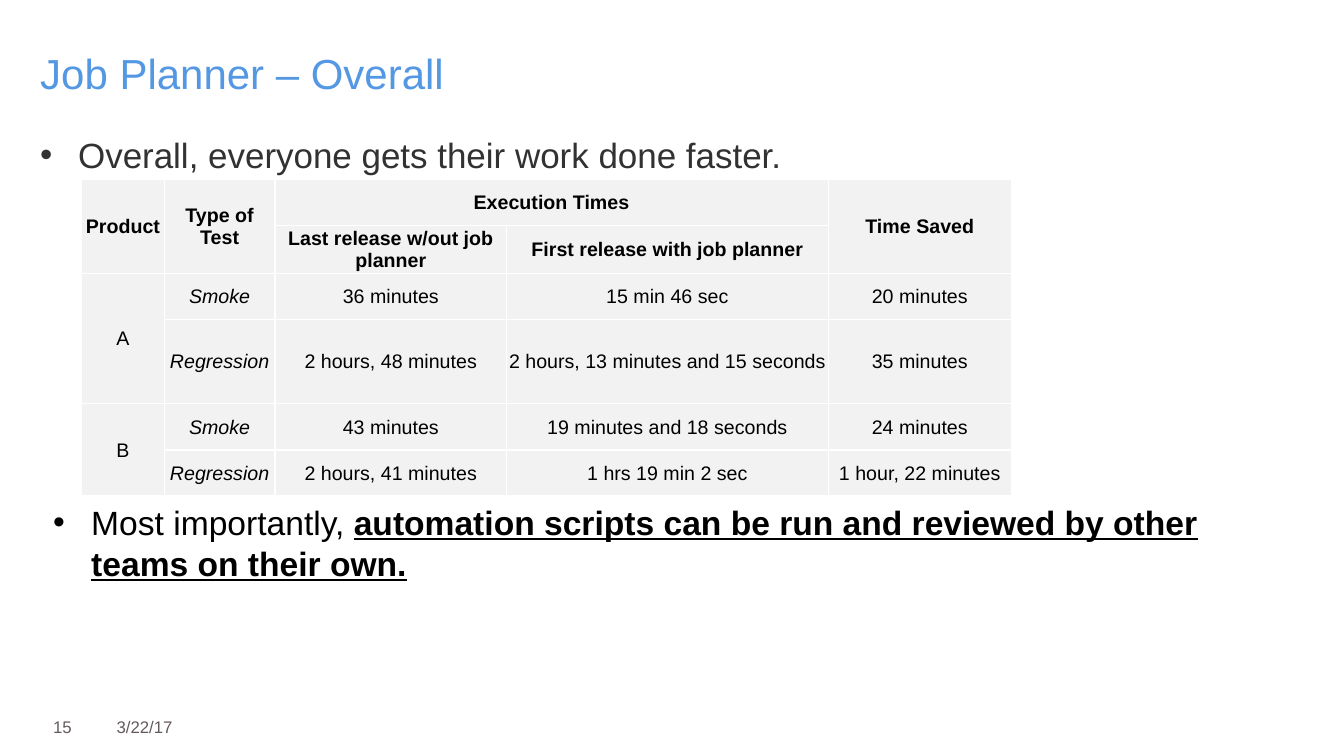
from dataclasses import dataclass
from lxml.etree import SubElement
from pptx import Presentation
from pptx.dml.color import RGBColor
from pptx.enum.text import MSO_ANCHOR, MSO_AUTO_SIZE, PP_ALIGN
from pptx.oxml.ns import qn
from pptx.util import Cm, Pt


@dataclass(frozen=True)
class Theme:
    face: str = "Arial"
    blue: str = "5498E4"
    dark: str = "323232"
    gray: str = "655A5B"
    black: str = "000000"
    pale: str = "F3F2F2"
    white: str = "FFFFFF"
    title: int = 30
    lead: int = 25
    close: int = 24
    cell: int = 14
    foot: int = 12


theme = Theme()


def style(para, size, color):
    para.font.name = theme.face
    para.font.size = Pt(size)
    para.font.color.rgb = RGBColor.from_string(color)


def add_text(box, size, color, text, bullet=False):
    """Add a wrapped text box and return its only paragraph."""
    frame = slide.shapes.add_textbox(*map(Cm, box)).text_frame
    frame.word_wrap = True
    para = frame.paragraphs[0]
    para.add_run().text = text
    style(para, size, color)
    if bullet:
        props = para._p.get_or_add_pPr()
        props.set("marL", str(Cm(0.96)))
        props.set("indent", str(Cm(-0.96)))
        SubElement(props, qn("a:buFont"), typeface=theme.face)
        SubElement(props, qn("a:buChar"), char="•")
    return para


deck = Presentation()
deck.slide_width, deck.slide_height = Cm(33.87), Cm(19.05)
slide = deck.slides.add_slide(deck.slide_layouts[5])

# Title
title = slide.shapes.title
title.left, title.top, title.width, title.height = map(Cm, (0.76, 1.07, 13.97, 1.45))
frame = title.text_frame
frame.text = "Job Planner – Overall"
frame.auto_size = MSO_AUTO_SIZE.NONE
frame.vertical_anchor = MSO_ANCHOR.TOP
frame.paragraphs[0].alignment = PP_ALIGN.LEFT
style(frame.paragraphs[0], theme.title, theme.blue)

# Opening point
lead = add_text((0.76, 3.35, 31.7, 1.17), theme.lead, theme.dark,
                "Overall, everyone gets their work done faster.", True)
lead.line_spacing = Pt(27)
lead.space_after = Pt(12)

# Table of times
rows = [
    ["Product", "Type of Test", "Execution Times", "", "Time Saved"],
    ["", "", "Last release w/out job planner", "First release with job planner", ""],
    ["A", "Smoke", "36 minutes", "15 min 46 sec", "20 minutes"],
    ["", "Regression", "2 hours, 48 minutes", "2 hours, 13 minutes and 15 seconds", "35 minutes"],
    ["B", "Smoke", "43 minutes", "19 minutes and 18 seconds", "24 minutes"],
    ["", "Regression", "2 hours, 41 minutes", "1 hrs 19 min 2 sec", "1 hour, 22 minutes"],
]
widths = [2.08, 2.79, 5.84, 8.1, 4.62]
heights = [1.16, 1.16, 1.16, 2.13, 1.16, 1.16]
table = slide.shapes.add_table(len(rows), len(widths), Cm(2.06), Cm(4.52),
                               Cm(sum(widths)), Cm(sum(heights))).table
table.horz_banding = False
for col, width in zip(table.columns, widths):
    col.width = Cm(width)
for row, height in zip(table.rows, heights):
    row.height = Cm(height)

for r, row in enumerate(rows):
    for c, text in enumerate(row):
        cell = table.cell(r, c)
        cell.text = text
        cell.vertical_anchor = MSO_ANCHOR.MIDDLE
        cell.margin_left = cell.margin_right = cell.margin_top = Cm(0.02)
        cell.margin_bottom = 0
        para = cell.text_frame.paragraphs[0]
        para.alignment = PP_ALIGN.CENTER
        style(para, theme.cell, theme.black)
        para.font.bold = r < 2
        para.font.italic = r >= 2 and c == 1
        props = cell._tc.get_or_add_tcPr()
        for side in ("lnL", "lnR", "lnT", "lnB"):
            line = SubElement(props, qn(f"a:{side}"), w=str(Pt(1)))
            fill = SubElement(line, qn("a:solidFill"))
            SubElement(fill, qn("a:srgbClr"), val=theme.white)
        cell.fill.solid()
        cell.fill.fore_color.rgb = RGBColor.from_string(theme.pale)

for top, left, end, right in [(0, 0, 1, 0), (0, 1, 1, 1), (0, 2, 0, 3),
                              (0, 4, 1, 4), (2, 0, 3, 0), (4, 0, 5, 0)]:
    table.cell(top, left).merge(table.cell(end, right))

# Closing point
close = add_text((1.09, 12.52, 29.82, 2.31), theme.close, theme.black,
                 "Most importantly, ", True)
close.line_spacing = Pt(29)
key = close.add_run()
key.text = "automation scripts can be run and reviewed by other teams on their own."
key.font.bold = key.font.underline = True

# Footer
for left, width, text in [(1.09, 1.63, "15"), (2.69, 7.62, "3/22/17")]:
    add_text((left, 17.98, width, 0.69), theme.foot, theme.gray, text)
    slide.shapes[-1].text_frame.vertical_anchor = MSO_ANCHOR.MIDDLE

deck.save("out.pptx")
